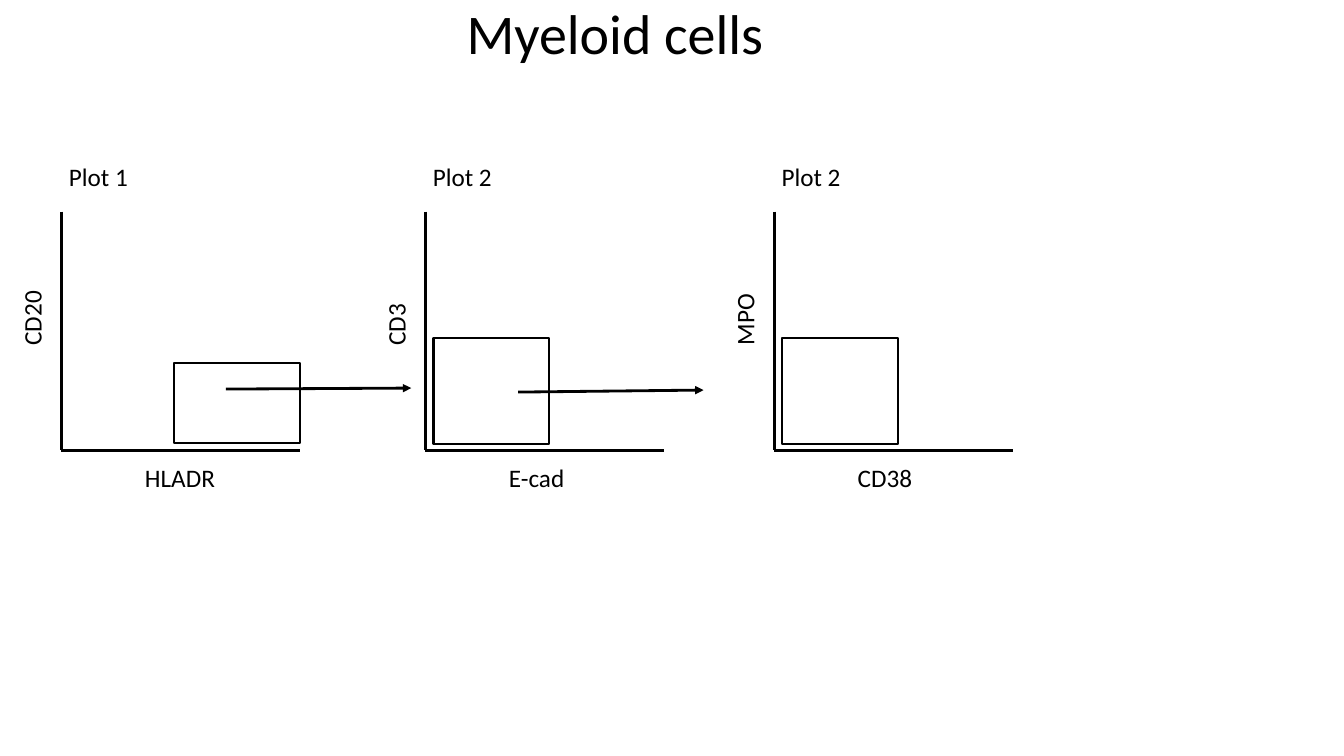
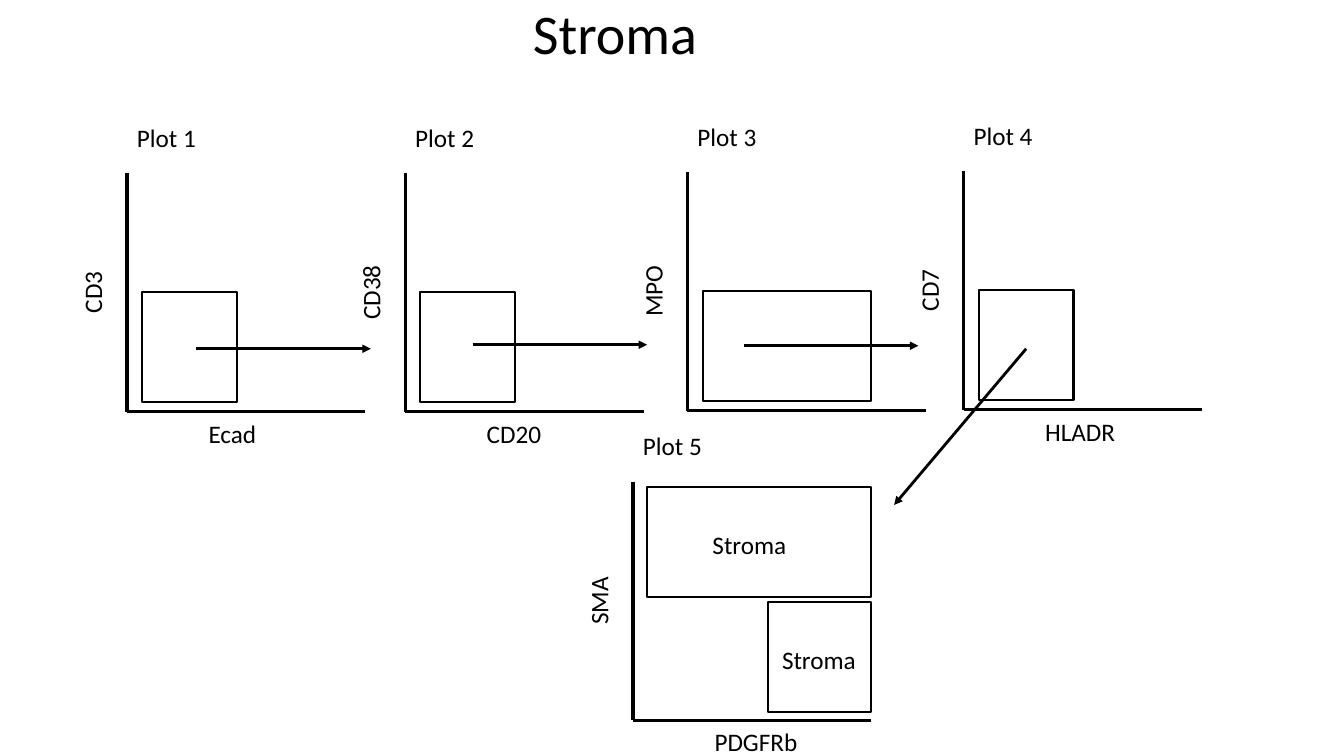
"""Build two slides of cell gating plots joined by arrows."""
from typing import NamedTuple

from lxml import etree
from pptx import Presentation
from pptx import util as u
from pptx.dml.color import RGBColor
from pptx.enum import shapes, text
from pptx.oxml import ns

INK = RGBColor(0x00, 0x00, 0x00)
FONT = "Calibri"
COLUMNS, ROWS = 133.33, 75
CELL = 0.1
AXIS = 23.65
LABEL_HEIGHT = 4
LABEL_SIZE, TITLE_SIZE = 18, 40
AXIS_WEIGHT, GATE_WEIGHT, ARROW_WEIGHT = 2.25, 1.5, 2


class Label(NamedTuple):
    text: str
    width: float


class Gate(NamedTuple):
    left: float
    top: float
    width: float
    height: float


class Caption(NamedTuple):
    left: float
    top: float
    label: Label


class Plot(NamedTuple):
    number: int
    left: float
    top: float
    y_label: Label
    x_label: Label | None
    gates: tuple[Gate, ...]
    captions: tuple[Caption, ...] = ()


class Arrow(NamedTuple):
    x1: float
    y1: float
    x2: float
    y2: float


class LabelOffsets(NamedTuple):
    """Offsets from a plot's top left corner; the y label's are to its centre."""
    number: tuple[float, float]
    x_label: tuple[float, float]
    y_label: tuple[float, float]


class Panel(NamedTuple):
    title: str
    offsets: LabelOffsets
    plots: tuple[Plot, ...]
    arrows: tuple[Arrow, ...]


LOW_GATE = Gate(0.8, 12.5, 11.5, 10.6)
SMALL_GATE = Gate(1.5, 11.8, 9.4, 10.9)
STROMA = Label("Stroma", 9.4)

PANELS = (
    Panel(
        "Myeloid cells",
        LabelOffsets((-0.25, -5.5), (7.3, 24.4), (-2.95, 9.7)),
        (
            Plot(1, 6.1, 21, Label("CD20", 9.1), Label("HLADR", 9),
                 (Gate(11.2, 15, 12.5, 8),)),
            Plot(2, 42.2, 21, Label("CD3", 9.1), Label("E-cad", 7.6), (LOW_GATE,)),
            Plot(2, 76.8, 21, Label("MPO", 9.1), Label("CD38", 7.5), (LOW_GATE,)),
        ),
        (Arrow(22.4, 38.6, 40.8, 38.5), Arrow(51.4, 38.9, 69.8, 38.7)),
    ),
    Panel(
        "Stroma",
        LabelOffsets((0, -5.6), (7.1, 23.8), (-3.45, 11.75)),
        (
            Plot(1, 12.6, 17.2, Label("CD3", 6.2), Label("Ecad", 6.8), (SMALL_GATE,)),
            Plot(2, 40.2, 17.2, Label("CD38", 7.5), Label("CD20", 7.5), (SMALL_GATE,)),
            Plot(3, 68.2, 17.1, Label("MPO", 7.1), None,
                 (SMALL_GATE._replace(width=16.7),)),
            Plot(4, 95.6, 17, Label("CD7", 6.2), Label("HLADR", 9), (SMALL_GATE,)),
            Plot(5, 62.8, 47.8, Label("SMA", 6.8), Label("PDGFRb", 10.3),
                 (Gate(1.4, 0.5, 22.2, 10.9), Gate(13.4, 11.9, 10.2, 10.9)),
                 (Caption(6.9, 4.2, STROMA), Caption(13.8, 15.6, STROMA))),
        ),
        (
            Arrow(19.4, 34.6, 36.8, 34.6),
            Arrow(46.9, 34.2, 64.2, 34.2),
            Arrow(73.8, 34.3, 91.1, 34.3),
            Arrow(101.8, 34.6, 88.7, 50.1),
        ),
    ),
)


def cells(*counts: float) -> list[int]:
    """Turn counts of grid cells into lengths."""
    return [u.Inches(count * CELL) for count in counts]


def add_run(paragraph, words: str, size: float) -> None:
    """Add one run in the shared font and colour."""
    run = paragraph.add_run()
    run.text = words
    run.font.name = FONT
    run.font.size = u.Pt(size)
    run.font.color.rgb = INK


def add_title(slide, words: str) -> None:
    """Place and format the title."""
    title = slide.shapes.title
    title.left, title.top, title.width, title.height = cells(34.8, 0.6, 52.4, 6)
    frame = title.text_frame
    frame.auto_size = text.MSO_AUTO_SIZE.NONE
    frame.vertical_anchor = text.MSO_ANCHOR.MIDDLE
    paragraph = frame.paragraphs[0]
    paragraph.alignment = text.PP_ALIGN.CENTER
    paragraph.line_spacing = 0.9
    add_run(paragraph, words, TITLE_SIZE)


def add_label(slide, left: float, top: float, label: Label, rotation: int = 0) -> None:
    """Add a single-line label."""
    box = slide.shapes.add_textbox(*cells(left, top, label.width, LABEL_HEIGHT))
    box.rotation = rotation
    box.text_frame.word_wrap = False
    add_run(box.text_frame.paragraphs[0], label.text, LABEL_SIZE)


def add_line(slide, ends: Arrow, weight: float, head: bool = False) -> None:
    """Add a straight line, with an arrowhead at its end if asked."""
    line = slide.shapes.add_connector(shapes.MSO_CONNECTOR.STRAIGHT, *cells(*ends))
    line.line.color.rgb = INK
    line.line.width = u.Pt(weight)
    properties = line._element.spPr
    if head:
        outline = properties.find(ns.qn("a:ln"))
        etree.SubElement(outline, ns.qn("a:tailEnd"), type="triangle")
    etree.SubElement(properties, ns.qn("a:effectLst"))


def add_gate(slide, plot: Plot, gate: Gate) -> None:
    """Add an outlined gate inside a plot."""
    box = slide.shapes.add_shape(
        shapes.MSO_SHAPE.RECTANGLE,
        *cells(plot.left + gate.left, plot.top + gate.top, gate.width, gate.height))
    box.shadow.inherit = False
    box.fill.background()
    box.line.color.rgb = INK
    box.line.width = u.Pt(GATE_WEIGHT)


def add_plot(slide, plot: Plot, offsets: LabelOffsets) -> None:
    """Draw a plot's axes, labels and gates."""
    left, top = plot.left, plot.top
    right, bottom = left + AXIS, top + AXIS
    add_line(slide, Arrow(left, top, left, bottom), AXIS_WEIGHT)
    add_line(slide, Arrow(right, bottom, left, bottom), AXIS_WEIGHT)
    dx, dy = offsets.y_label
    add_label(slide, left + dx - plot.y_label.width / 2,
              top + dy - LABEL_HEIGHT / 2, plot.y_label, 270)
    captions = [Caption(*offsets.number, Label(f"Plot {plot.number}", 7.9))]
    if plot.x_label:
        captions.append(Caption(*offsets.x_label, plot.x_label))
    for gate in plot.gates:
        add_gate(slide, plot, gate)
    for caption in (*captions, *plot.captions):
        add_label(slide, left + caption.left, top + caption.top, caption.label)


def main() -> None:
    """Build and save the presentation."""
    deck = Presentation()
    deck.slide_width, deck.slide_height = cells(COLUMNS, ROWS)
    title_only = deck.slide_layouts[5]
    for panel in PANELS:
        slide = deck.slides.add_slide(title_only)
        add_title(slide, panel.title)
        for plot in panel.plots:
            add_plot(slide, plot, panel.offsets)
        for arrow in panel.arrows:
            add_line(slide, arrow, ARROW_WEIGHT, head=True)
    deck.save("out.pptx")


if __name__ == "__main__":
    main()
